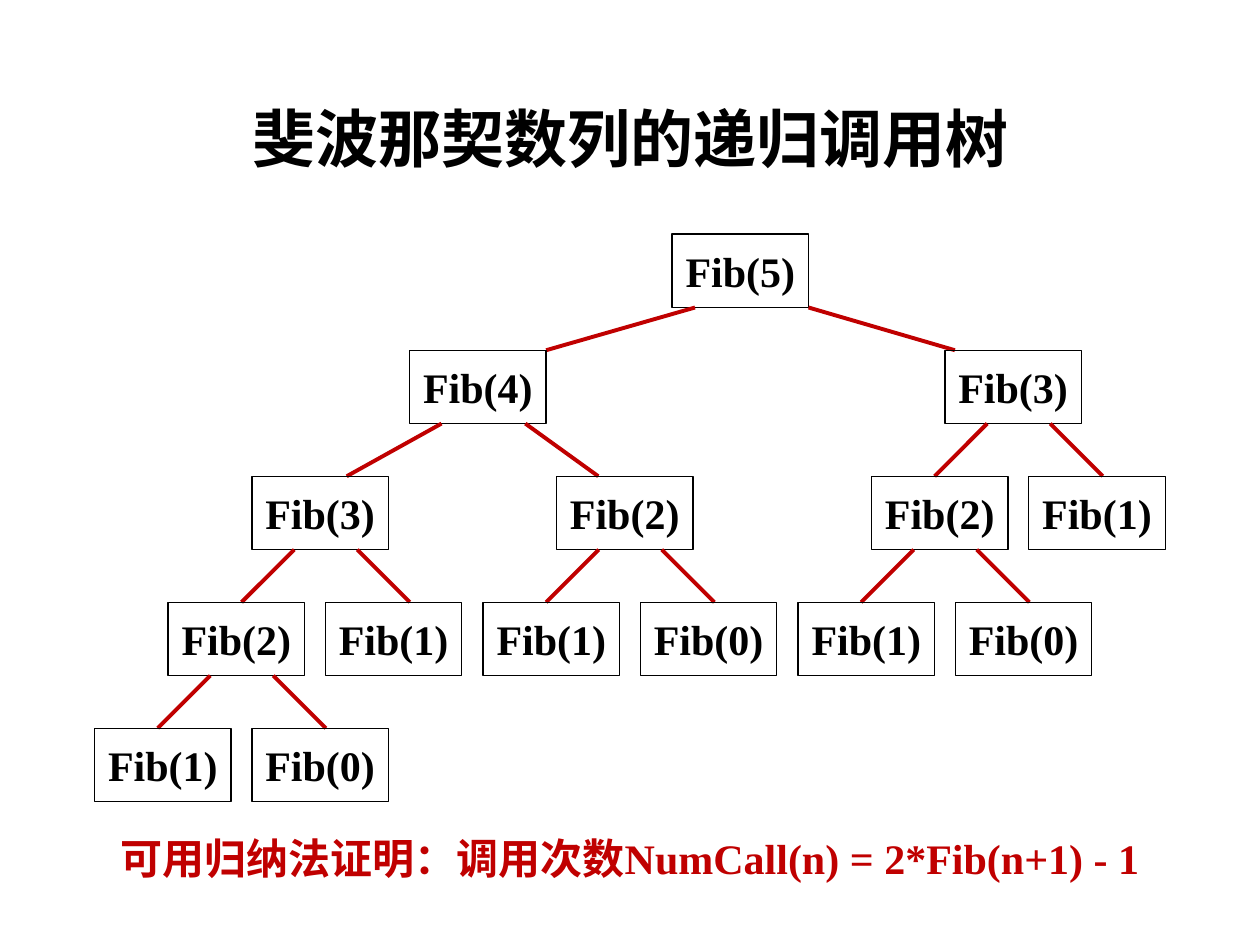
"""Draw the recursive call tree of Fib(5) on one slide."""
import lxml.etree
import pptx
import pptx.dml.color
import pptx.enum.shapes
import pptx.enum.text
import pptx.oxml.ns
import pptx.util

Cm = pptx.util.Cm
qn = pptx.oxml.ns.qn
Align = pptx.enum.text.PP_ALIGN
Anchor = pptx.enum.text.MSO_ANCHOR

TITLE = "斐波那契数列的递归调用树"
NOTE = "可用归纳法证明：调用次数NumCall(n) = 2*Fib(n+1) - 1"
TREE = (5, 13.55, [
    (4, 8.26, [
        (3, 5.08, [
            (2, 3.39, [(1, 1.91, []), (0, 5.08, [])]),
            (1, 6.56, []),
        ]),
        (2, 11.22, [(1, 9.74, []), (0, 12.91, [])]),
    ]),
    (3, 19.05, [
        (2, 17.57, [(1, 16.09, []), (0, 19.26, [])]),
        (1, 20.74, []),
    ]),
])
TOPS = [4.72, 7.06, 9.6, 12.14, 14.68]
BOX = (2.75, 1.48)
REACH = {
    5: [(0.46, -3), (2.75, 2.95)],
    4: [(0.64, -1.91), (2.33, 1.47)],
}
USUAL = [(0.85, -1.06), (2.12, 1.06)]
THEME = {
    "ink": "000000", "red": "C00000",
    "latin": "Times New Roman", "han": "Noto Sans CJK SC",
    "head": 36, "body": 24, "edge": 0.75, "link": 2.25,
}


def color(key):
    return pptx.dml.color.RGBColor.from_string(THEME[key])


def write(frame, text, face="latin", size="body", ink="ink"):
    frame.text = text
    frame.vertical_anchor = Anchor.MIDDLE
    para = frame.paragraphs[0]
    para.alignment = Align.CENTER
    font = para.runs[0].font
    font.name = THEME[face]
    font.size = pptx.util.Pt(THEME[size])
    font.bold = True
    font.color.rgb = color(ink)
    east = lxml.etree.SubElement(font._element, qn("a:ea"))
    east.set("typeface", THEME["han"])
    return para


def link(shapes, start, end):
    kind = pptx.enum.shapes.MSO_CONNECTOR.STRAIGHT
    line = shapes.add_connector(kind, *map(Cm, start + end))
    line.line.color.rgb = color("red")
    line.line.width = pptx.util.Pt(THEME["link"])
    lxml.etree.SubElement(line._element.spPr, qn("a:effectLst"))


def node(shapes, tree, depth=0):
    num, left, kids = tree
    top = TOPS[depth]
    kind = pptx.enum.shapes.MSO_SHAPE.RECTANGLE
    box = shapes.add_shape(kind, *map(Cm, (left, top) + BOX))
    box.shadow.inherit = False
    box.fill.background()
    box.line.color.rgb = color("ink")
    box.line.width = pptx.util.Pt(THEME["edge"])
    write(box.text_frame, f"Fib({num})")
    box.text_frame.word_wrap = False
    for kid, (shift, run) in zip(kids, REACH.get(num, USUAL)):
        x = left + shift
        link(shapes, (x, top + BOX[1]), (x + run, TOPS[depth + 1]))
        node(shapes, kid, depth + 1)


def main():
    deck = pptx.Presentation()
    deck.slide_width, deck.slide_height = Cm(25.4), Cm(19.05)
    slide = deck.slides.add_slide(deck.slide_layouts[5])
    shapes = slide.shapes

    title = shapes.title
    title.left, title.top = Cm(1.75), Cm(1.02)
    title.width, title.height = Cm(21.9), Cm(3.68)
    write(title.text_frame, TITLE, "han", "head").line_spacing = 0.9

    node(shapes, TREE)

    note = shapes.add_textbox(Cm(1.85), Cm(16.66), Cm(21.7), Cm(1.27))
    note.text_frame.word_wrap = True
    write(note.text_frame, NOTE, ink="red")
    deck.save("out.pptx")


if __name__ == "__main__":
    main()
